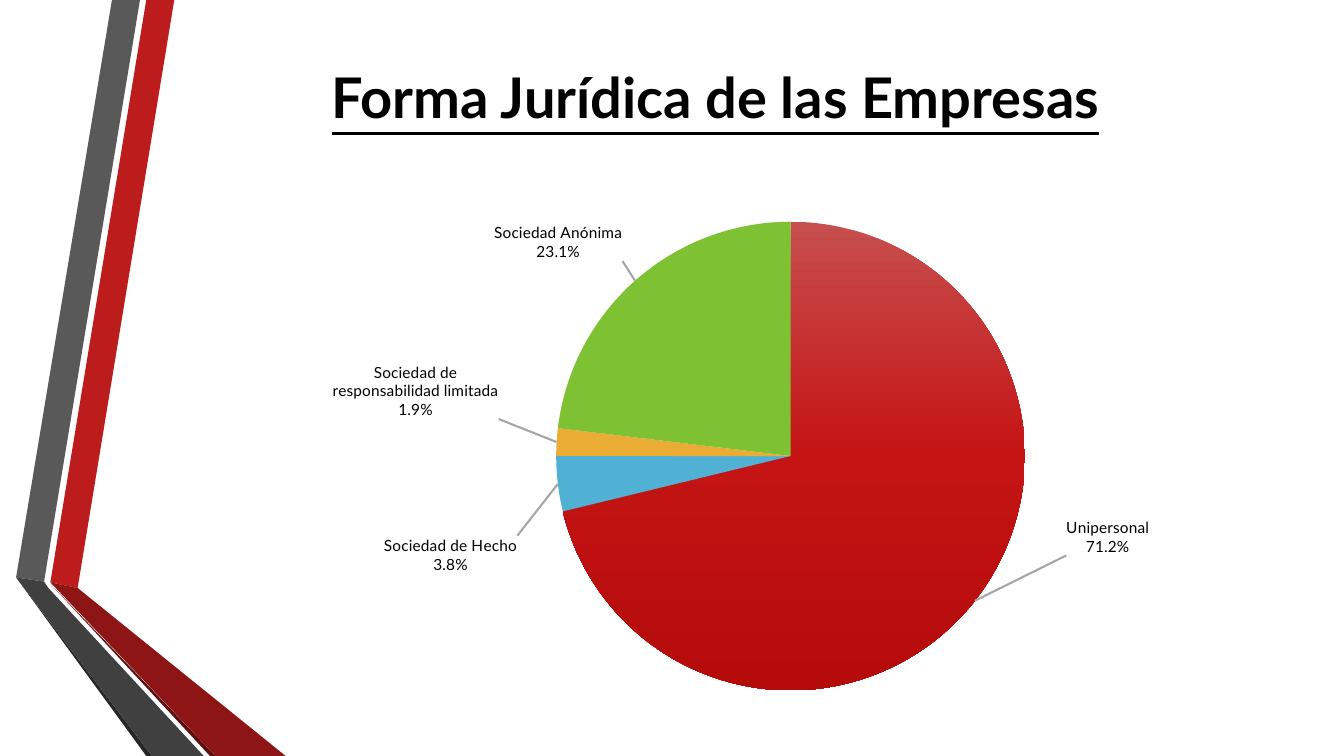
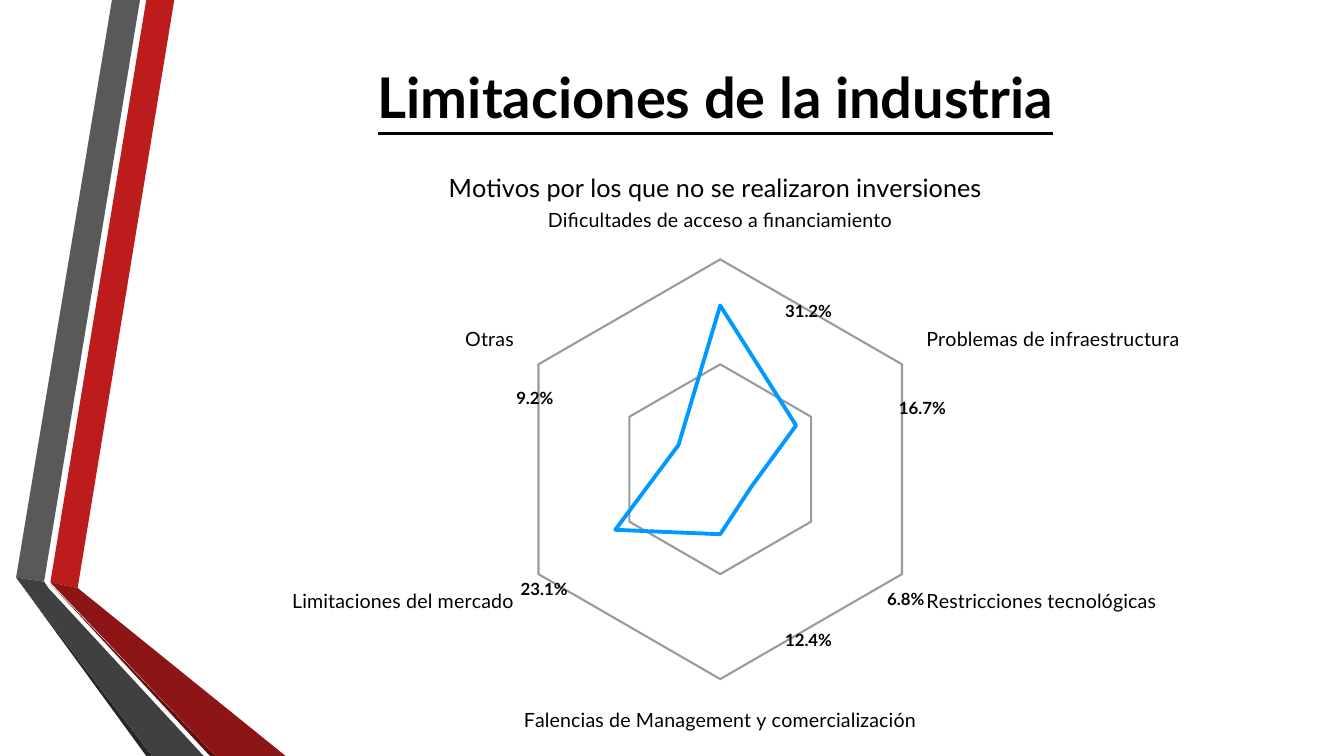
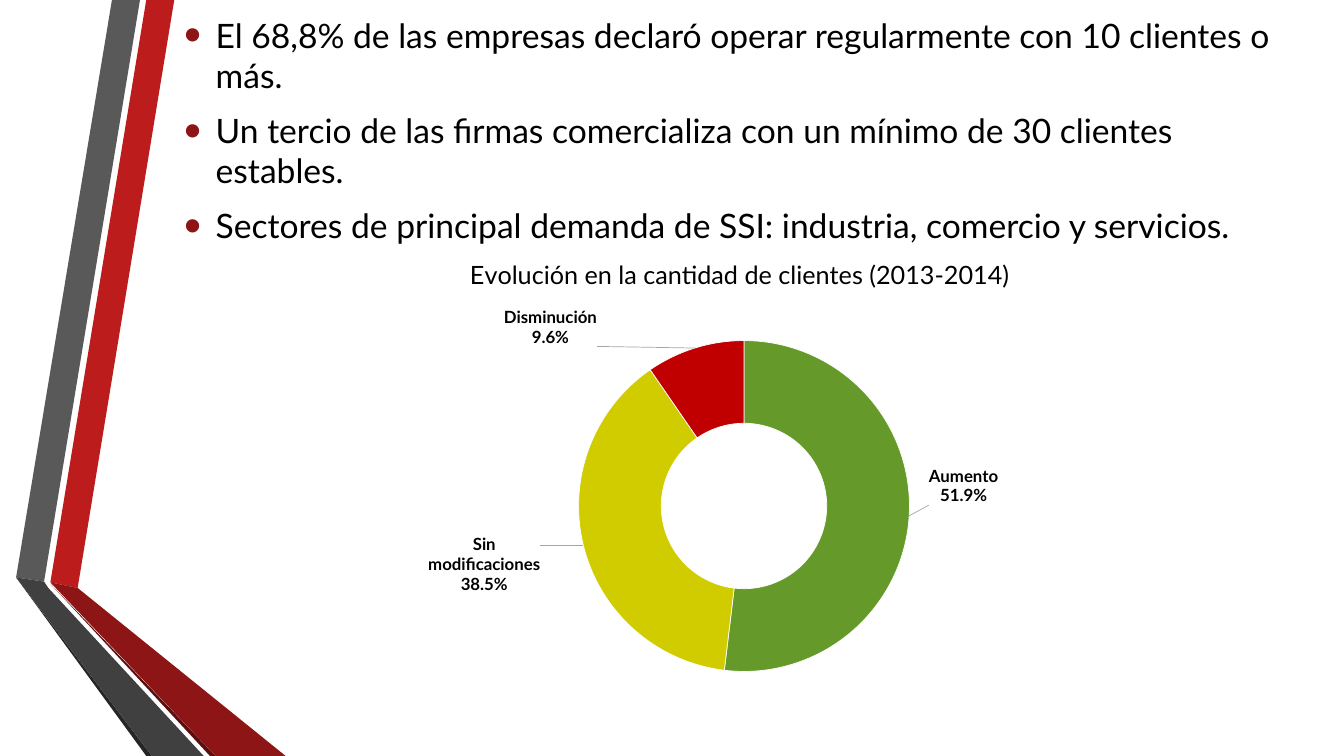
from copy import deepcopy
from lxml.etree import SubElement
from pptx import Presentation
from pptx.chart.data import CategoryChartData
from pptx.dml.color import RGBColor
from pptx.enum.chart import XL_CHART_TYPE as ChartType, XL_LABEL_POSITION as LabelPosition
from pptx.enum.text import MSO_ANCHOR as Anchor, PP_ALIGN as Align
from pptx.oxml import parse_xml
from pptx.oxml.ns import nsdecls, qn
from pptx.util import Pt

FONT = "Lato"
COLORS = {
    "text": "000000", "red": "BC1C1C", "dark_red": "8D1515", "deep_red": "5E0E0E",
    "gray": "595959", "dark_gray": "404040", "deep_gray": "262626",
    "leader": "A6A6A6", "grid": "979D9F", "radar": "0099FF", "gap": "FFFFFF",
    "company_top": "C74E4E", "company_mid": "C41414", "company_end": "B50B0B",
    "partnership": "50B1D4", "limited": "EAAC35", "corporation": "7EC234",
    "increase": "659A2A", "unchanged": "D1CC00", "decrease": "C00000",
}
BANDS = [
    ("red", [(36, 416), (55.5, 420), (124.5, 0), (104.5, 0)]),
    ("gray", [(100, 0), (80, 0), (11.5, 412.5), (31.5, 415.5)]),
    ("deep_gray", [(11.5, 412.5), (104.5, 540), (108.5, 540)]),
    ("deep_red", [(36, 417), (150, 540), (154, 540)]),
    ("dark_red", [(36, 416), (154, 540), (204, 540), (55.5, 420)]),
    ("dark_gray", [(145.5, 540), (34.5, 420), (31.5, 415.5), (11.5, 412.5), (108.5, 540)]),
]


def rgb(name):
    return RGBColor.from_string(COLORS[name])


def style_font(font, size, bold=False, underline=None):
    font.name, font.size, font.bold = FONT, Pt(size), bold
    font.color.rgb = rgb("text")
    if underline is not None:
        font.underline = underline


def add_text(slide, box, lines, size, bold=False, underline=None, align=Align.LEFT, bullet=None):
    frame = slide.shapes.add_textbox(*map(Pt, box)).text_frame
    frame.word_wrap = True
    frame.vertical_anchor = Anchor.MIDDLE
    for index, line in enumerate(lines):
        paragraph = frame.add_paragraph() if index else frame.paragraphs[0]
        paragraph.alignment = align
        run = paragraph.add_run()
        run.text = line
        style_font(run.font, size, bold, underline)
        if bullet:
            paragraph.space_before, paragraph.space_after = Pt(4.5), Pt(6)
            props = paragraph._p.get_or_add_pPr()
            props.set("marL", str(Pt(22.5)))
            props.set("indent", str(-Pt(22.5)))
            tint = SubElement(props, qn("a:buClr"))
            SubElement(tint, qn("a:srgbClr"), val=COLORS[bullet])
            SubElement(props, qn("a:buSzPct"), val="145000")
            SubElement(props, qn("a:buFont"), typeface="Arial")
            SubElement(props, qn("a:buChar"), char="•")


def add_bands(slide, layout):
    for color, outline in BANDS:
        start, *rest = [(Pt(x), Pt(y)) for x, y in outline]
        builder = slide.shapes.build_freeform(*start)
        builder.add_line_segments(rest)
        band = builder.convert_to_shape()
        band.shadow.inherit = False
        band.fill.solid()
        band.fill.fore_color.rgb = rgb(color)
        band.line.fill.background()
        layout.shapes._spTree.append(band._element)


def add_heading(slide, text):
    add_text(slide, (116.5, 0, 789, 138), [text], 40, bold=True, underline=True, align=Align.CENTER)


def manual_layout(x, y, w=None, h=None, inner=False, edge=False):
    target = '<c:layoutTarget val="inner"/>' if inner else ""
    modes = '<c:xMode val="edge"/><c:yMode val="edge"/>' if edge else ""
    size = f'<c:w val="{w}"/><c:h val="{h}"/>' if w else ""
    return parse_xml(
        f'<c:layout {nsdecls("c")}><c:manualLayout>{target}{modes}'
        f'<c:x val="{x}"/><c:y val="{y}"/>{size}</c:manualLayout></c:layout>')


def add_share_chart(slide, box, kind, shares, plot, size=12):
    data = CategoryChartData(number_format="0.0%")
    data.categories = shares.keys()
    data.add_series("Series 1", shares.values())
    chart = slide.shapes.add_chart(kind, *map(Pt, box), data).chart
    chart.has_legend = chart.has_title = False
    style_font(chart.font, size)
    area = chart._chartSpace.chart.plotArea
    for old in area.findall(qn("c:layout")):
        area.remove(old)
    area.insert(0, manual_layout(*plot, inner=True, edge=True))
    return chart


def add_chart_title(chart, text, x, y):
    chart.has_title = True
    title = chart.chart_title
    title.text_frame.text = text
    style_font(title.text_frame.paragraphs[0].runs[0].font, 18)
    element = title._element
    for old in element.findall(qn("c:layout")):
        element.remove(old)
    element.find(qn("c:tx")).addnext(manual_layout(x, y, edge=True))
    title.include_in_layout = False


def add_leaders(group, width):
    SubElement(group, qn("c:showLeaderLines"), val="1" if width else "0")
    if width:
        group.append(parse_xml(
            f'<c:leaderLines {nsdecls("c", "a")}><c:spPr><a:ln w="{Pt(width)}"><a:solidFill>'
            f'<a:srgbClr val="{COLORS["leader"]}"/></a:solidFill></a:ln></c:spPr></c:leaderLines>'))
    else:
        group.append(parse_xml(
            f'<c:extLst {nsdecls("c")}><c:ext uri="{{CE6537A1-D6FC-4f65-9D91-7224C49458BB}}" '
            'xmlns:c15="http://schemas.microsoft.com/office/drawing/2012/chart">'
            '<c15:showLeaderLines val="0"/></c:ext></c:extLst>'))


def add_labels(series, offsets, size, bold=False, category=True, position=None, leader=None):
    labels = series.data_labels
    style_font(labels.font, size, bold)
    labels.number_format, labels.number_format_is_linked = "0.0%", False
    labels.show_value, labels.show_category_name = True, category
    labels.show_percentage = labels.show_legend_key = labels.show_series_name = False
    if position is not None:
        labels.position = position
    group = labels._element
    for old in group.findall(qn("c:showLeaderLines")):
        group.remove(old)
    if category:
        SubElement(group, qn("c:separator")).text = "\n"
    shared = list(group)
    for index, offset in enumerate(offsets):
        label = parse_xml(f'<c:dLbl {nsdecls("c")}><c:idx val="{index}"/></c:dLbl>')
        label.append(manual_layout(*offset))
        label.extend(deepcopy(shared))
        group.insert(index, label)
    add_leaders(group, leader)


def fill_points(series, colors, gap=None):
    for index, color in enumerate(colors):
        style = series.points[index].format
        if gap:
            style.line.color.rgb = rgb("gap")
            style.line.width = Pt(gap)
        else:
            style.line.fill.background()
        style.fill.solid()
        style.fill.fore_color.rgb = rgb(color)


def fill_gradient(fill, colors):
    fill.gradient()
    fill.gradient_angle = 270
    stops = fill._fill._gradFill.find(qn("a:gsLst"))
    stops.clear()
    for index, color in enumerate(colors):
        stop = SubElement(stops, qn("a:gs"), pos=str(index * 50000))
        SubElement(stop, qn("a:srgbClr"), val=COLORS[color])


def legal_form_slide(slide):
    add_heading(slide, "Forma Jurídica de las Empresas")
    forms = {"Unipersonal": 0.712, "Sociedad de Hecho": 0.038,
             "Sociedad de responsabilidad limitada": 0.019, "Sociedad Anónima": 0.231}
    chart = add_share_chart(slide, (217.5, 136, 620, 365), ChartType.PIE, forms,
                            (0.29, 0.06, 0.54, 0.92), size=10)
    series = chart.plots[0].series[0]
    fill_points(series, ["company_mid", "partnership", "limited", "corporation"])
    fill_gradient(series.points[0].format.fill, ["company_top", "company_mid", "company_end"])
    add_labels(series, [(0.1, -0.17), (-0.04, 0.1), (-0.06, -0.1), (-0.01, -0.03)], 11,
               position=LabelPosition.OUTSIDE_END, leader=1.5)


def limitations_slide(slide):
    add_heading(slide, "Limitaciones de la industria")
    reasons = {"Dificultades de acceso a financiamiento": 0.312,
               "Problemas de infraestructura": 0.167, "Restricciones tecnológicas": 0.068,
               "Falencias de Management y comercialización": 0.124,
               "Limitaciones del mercado": 0.231, "Otras": 0.092}
    chart = add_share_chart(slide, (120, 109, 789, 419), ChartType.RADAR, reasons,
                            (0.31, 0.18, 0.38, 0.72))
    add_chart_title(chart, "Motivos por los que no se realizaron inversiones", 0.25, 0.02)
    series = chart.plots[0].series[0]
    series.smooth = False
    series.format.line.color.rgb = rgb("radar")
    series.format.line.width = Pt(2.75)
    add_labels(series, [(0.08, 0.04), (0.09, -0.01), (0.12, 0.17), (0.08, 0.15),
                        (-0.04, 0.08), (-0.11, -0.06)], 12, bold=True, category=False)
    style_font(chart.category_axis.tick_labels.font, 14)
    chart.category_axis.has_major_gridlines = False
    scale = chart.value_axis
    scale.minimum_scale, scale.maximum_scale, scale.major_unit = 0, 0.4, 0.2
    scale.has_major_gridlines = True
    scale.major_gridlines.format.line.color.rgb = rgb("grid")
    scale.major_gridlines.format.line.width = Pt(1.5)
    scale.visible = False


def clients_slide(slide):
    add_text(slide, (124.5, 26.5, 813, 133), [
        "El 68,8% de las empresas declaró operar regularmente con 10 clientes o más.",
        "Un tercio de las firmas comercializa con un mínimo de 30 clientes estables.",
        "Sectores de principal demanda de SSI: industria, comercio y servicios.",
    ], 24, bullet="dark_red")
    trends = {"Aumento": 0.519, "Sin modificaciones": 0.385, "Disminución": 0.096}
    chart = add_share_chart(slide, (220.5, 170, 622, 336), ChartType.DOUGHNUT, trends,
                            (0.31, 0.21, 0.38, 0.72))
    add_chart_title(chart, "Evolución en la cantidad de clientes (2013-2014)", 0.18, 0.03)
    chart.plots[0]._element.find(qn("c:holeSize")).set("val", "50")
    series = chart.plots[0].series[0]
    fill_points(series, ["increase", "unchanged", "decrease"], gap=0.5)
    add_labels(series, [(0.11, -0.06), (-0.16, 0.06), (-0.18, -0.13)], 12, bold=True, leader=0.5)


deck = Presentation()
deck.slide_width, deck.slide_height = Pt(960), Pt(540)
blank = deck.slide_layouts[6]
for build in (legal_form_slide, limitations_slide, clients_slide):
    page = deck.slides.add_slide(blank)
    if build is legal_form_slide:
        add_bands(page, blank)
    build(page)
deck.save("out.pptx")
